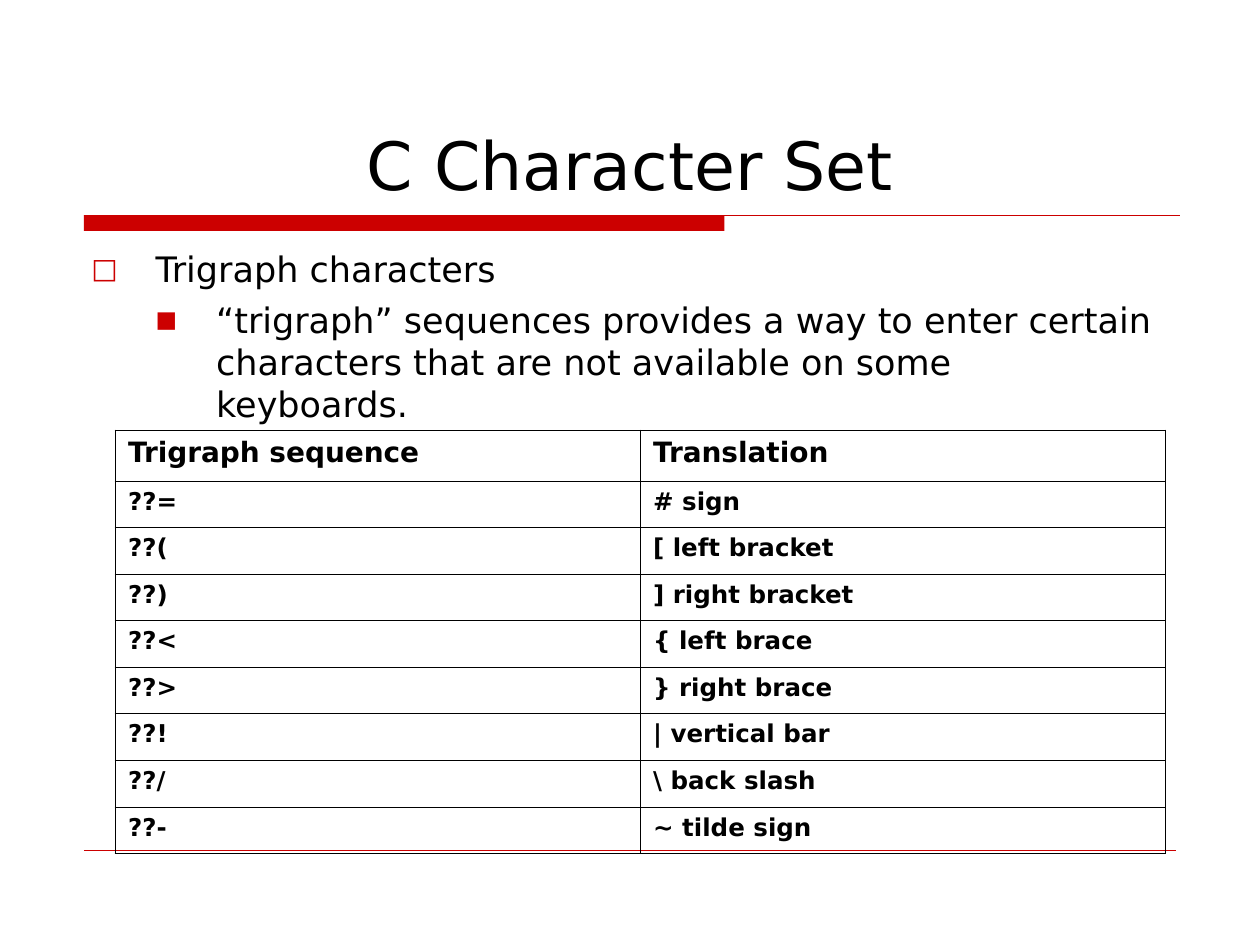
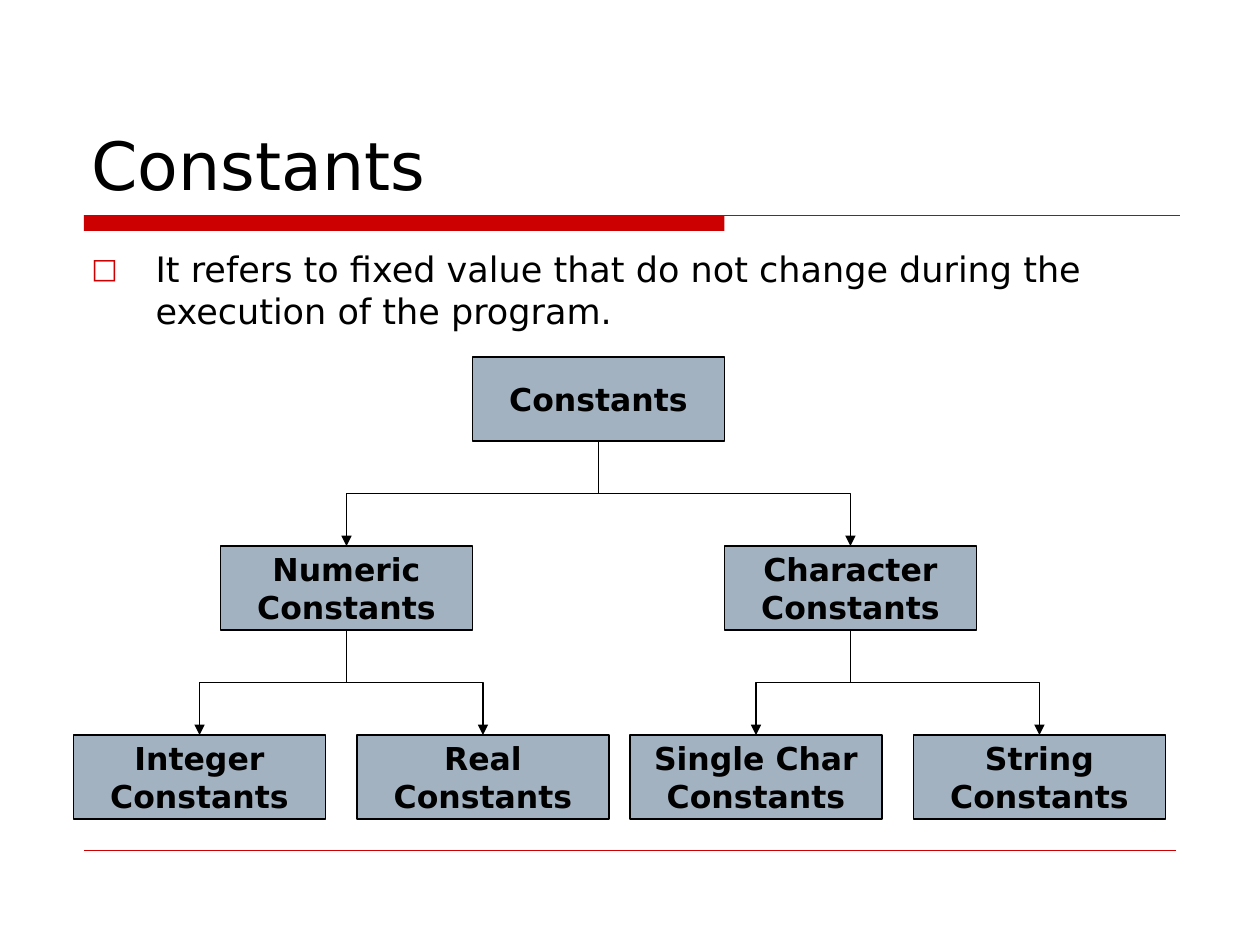
"""Builds two C lesson slides: a trigraph table and a tree of constant types."""
from pptx import Presentation
from pptx.dml.color import RGBColor
from pptx.enum.shapes import MSO_CONNECTOR, MSO_SHAPE
from pptx.enum.text import MSO_ANCHOR, MSO_AUTO_SIZE, PP_ALIGN
from pptx.oxml import parse_xml
from pptx.oxml.ns import nsdecls, qn
from pptx.util import Inches, Pt

FONT = "DejaVu Sans"
RED, BLACK, SLATE = "CC0000", "000000", "A3B2C1"
UNIT = Inches(10) // 120


def paint(target, hex_colour):
    target.rgb = RGBColor.from_string(hex_colour)


def write(para, text, size, bold=False, **layout):
    para.text = text
    for name, value in layout.items():
        setattr(para, name, value)
    for span in para.runs:
        for name, value in {"name": FONT, "size": Pt(size), "bold": bold}.items():
            setattr(span.font, name, value)
        paint(span.font.color, BLACK)


deck = Presentation()
deck.slide_width, deck.slide_height = 120 * UNIT, 90 * UNIT
layout = deck.slide_layouts[1]

lessons = [
    ("C Character Set", PP_ALIGN.CENTER, (103.5, 18), [
        (0, "Trigraph characters"),
        (1, "“trigraph” sequences provides a way to enter certain characters "
            "that are not available on some keyboards."),
    ]),
    ("Constants", PP_ALIGN.LEFT, (105, 56), [
        (0, "It refers to fixed value that do not change during the execution of the program."),
    ]),
]
bullets = [("□", 80, 0.51, -0.51), ("■", 65, 0.99, -0.48)]

pages = []
for title, alignment, body_size, points in lessons:
    page = deck.slides.add_slide(layout)
    pages.append(page)
    heading, body = page.placeholders
    for box, area, anchor in [
        (heading, (7.5, 4, 105, 16), MSO_ANCHOR.BOTTOM),
        (body, (7.5, 23, *body_size), MSO_ANCHOR.TOP),
    ]:
        for name, value in zip(("left", "top", "width", "height"), area):
            setattr(box, name, int(value * UNIT))
        frame_format = {"auto_size": MSO_AUTO_SIZE.NONE, "word_wrap": True, "vertical_anchor": anchor}
        for name, value in frame_format.items():
            setattr(box.text_frame, name, value)

    write(heading.text_frame.paragraphs[0], title, 38, alignment=alignment)
    for index, (level, text) in enumerate(points):
        frame = body.text_frame
        para = frame.add_paragraph() if index else frame.paragraphs[0]
        write(para, text, 20, level=level, space_before=Pt(5), alignment=PP_ALIGN.LEFT)
        symbol, percent, margin, indent = bullets[level]
        properties = para._p.get_or_add_pPr()
        properties.set("marL", str(Inches(margin)))
        properties.set("indent", str(Inches(indent)))
        for markup in (
            f'<a:buClr {nsdecls("a")}><a:srgbClr val="{RED}"/></a:buClr>',
            f'<a:buSzPct {nsdecls("a")} val="{percent * 1000}"/>',
            f'<a:buFont {nsdecls("a")} typeface="{FONT}"/>',
            f'<a:buChar {nsdecls("a")} char="{symbol}"/>',
        ):
            properties.append(parse_xml(markup))

trigraph_page, constants_page = pages

band = trigraph_page.shapes.add_shape(
    MSO_SHAPE.RECTANGLE, 8 * UNIT, int(20.5 * UNIT), 61 * UNIT, int(1.5 * UNIT))
band.shadow.inherit = False
band.fill.solid()
paint(band.fill.fore_color, RED)
band.line.fill.background()
decorations = [band]
for right, row, width in [(112.4, 20.5, 0.75), (112, 81, 0.25)]:
    rule = trigraph_page.shapes.add_connector(
        MSO_CONNECTOR.STRAIGHT, 8 * UNIT, int(row * UNIT), int(right * UNIT), int(row * UNIT))
    paint(rule.line.color, RED)
    rule.line.width = Pt(width)
    rule.element.spPr.append(parse_xml(f'<a:effectLst {nsdecls("a")}/>'))
    decorations.append(rule)
for decoration in decorations:
    layout.shapes.element.append(decoration.element)

trigraphs = [
    ("Trigraph sequence", "Translation"),
    ("??=", "# sign"),
    ("??(", "[ left bracket"),
    ("??)", "] right bracket"),
    ("??<", "{ left brace"),
    ("??>", "} right brace"),
    ("??!", "| vertical bar"),
    ("??/", "\\ back slash"),
    ("??-", "~ tilde sign"),
]
last_row = len(trigraphs) - 1
table = trigraph_page.shapes.add_table(
    len(trigraphs), 2, 11 * UNIT, 41 * UNIT, 100 * UNIT, 36 * UNIT).table
table.first_row = table.horz_banding = False
for row, texts in enumerate(trigraphs):
    table.rows[row].height = Inches(0.37 if row else 0.4)
    for column, text in enumerate(texts):
        cell = table.cell(row, column)
        write(cell.text_frame.paragraphs[0], text, 14 if row else 16, True,
              space_before=Pt(3.5 if row else 4))
        outer_sides = {"L": column == 0, "R": column == 1, "T": row == 0, "B": row == last_row}
        for side, outer in outer_sides.items():
            cell._tc.get_or_add_tcPr().append(parse_xml(
                f'<a:ln{side} {nsdecls("a")} w="{Pt(1.08 if outer else 0.45)}">'
                f'<a:solidFill><a:srgbClr val="{BLACK}"/></a:solidFill></a:ln{side}>'))
        cell.fill.background()

tree = [
    ("Constants", 45, 34, None),
    ("Numeric\nConstants", 21, 52, 0),
    ("Character\nConstants", 69, 52, 0),
    ("Integer\nConstants", 7, 70, 1),
    ("Real\nConstants", 34, 70, 1),
    ("Single Char\nConstants", 60, 70, 2),
    ("String\nConstants", 87, 70, 2),
]
nodes = []
for text, column, row, parent_index in tree:
    node = constants_page.shapes.add_shape(
        MSO_SHAPE.RECTANGLE, column * UNIT, row * UNIT, 24 * UNIT, 8 * UNIT)
    nodes.append(node)
    node.shadow.inherit = False
    node.fill.solid()
    paint(node.fill.fore_color, SLATE)
    paint(node.line.color, BLACK)
    node.line.width = Pt(0.75)
    node.text_frame.word_wrap = False
    node.text_frame.vertical_anchor = MSO_ANCHOR.MIDDLE
    write(node.text_frame.paragraphs[0], text.replace("\n", "\v"), 18, True,
          alignment=PP_ALIGN.CENTER)
    if parent_index is None:
        continue

    parent = nodes[parent_index]
    start_x, end_x = parent.left + 12 * UNIT, node.left + 12 * UNIT
    start_y, end_y = parent.top + parent.height, node.top
    drop, reach = end_y - start_y, abs(end_x - start_x)
    arrow = constants_page.shapes.add_connector(
        MSO_CONNECTOR.ELBOW, start_x, start_y, end_x, end_y)
    arrow.begin_connect(parent, 2)
    arrow.end_connect(node, 0)
    turned_box = {
        "left": (start_x + end_x - drop) // 2, "top": (start_y + end_y - reach) // 2,
        "width": drop, "height": reach,
    }
    for name, value in turned_box.items():
        setattr(arrow, name, value)
    goes_right = end_x > start_x
    transform = arrow.element.spPr.find(qn("a:xfrm"))
    transform.set("rot", str((270 if goes_right else 90) * 60000))
    transform.set("flipH", "1" if goes_right else "0")
    paint(arrow.line.color, BLACK)
    arrow.line.width = Pt(0.75)
    arrow.line._get_or_add_ln().append(parse_xml(f'<a:tailEnd {nsdecls("a")} type="triangle"/>'))
    arrow.element.spPr.append(parse_xml(f'<a:effectLst {nsdecls("a")}/>'))

deck.save("out.pptx")
